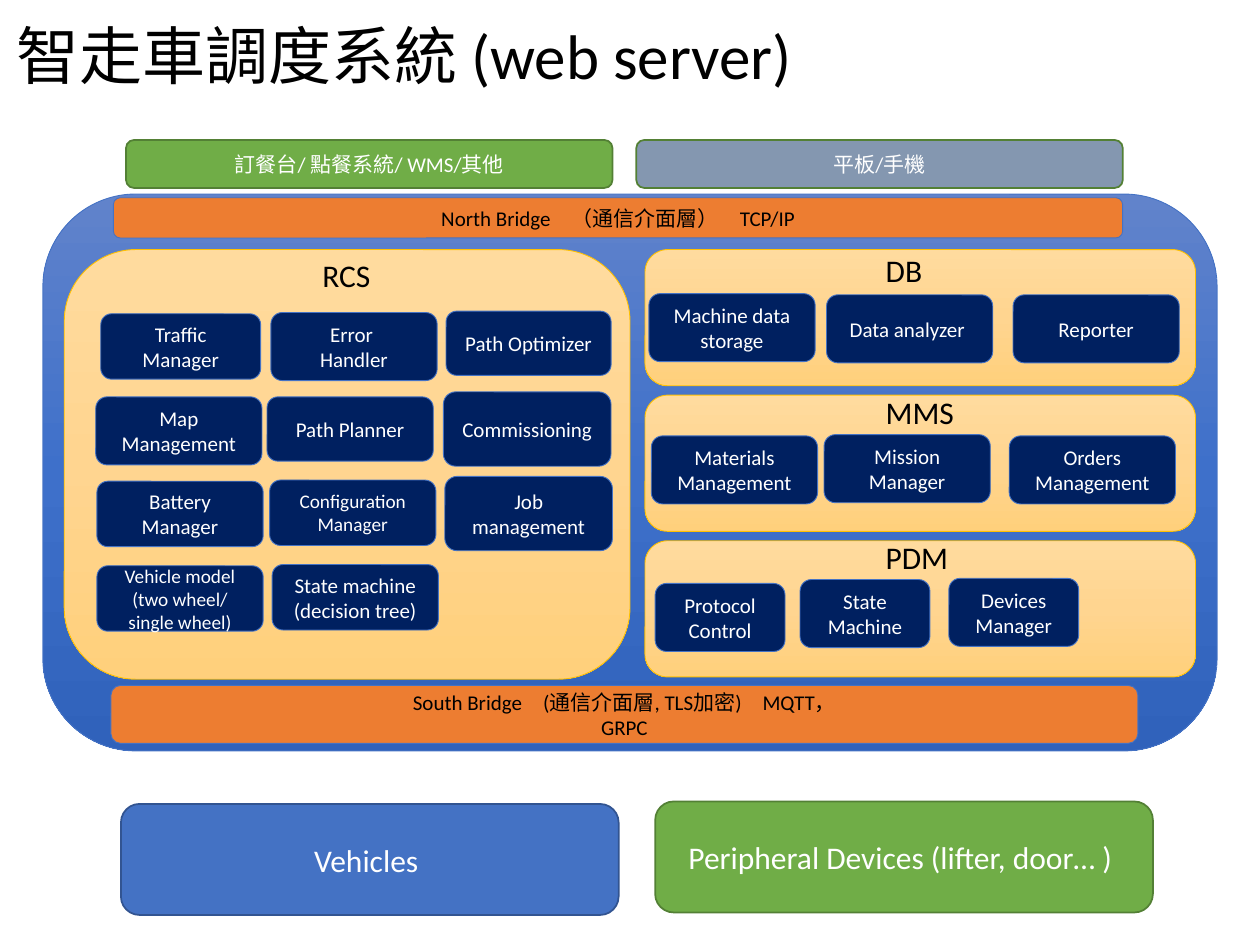
from copy import deepcopy
from dataclasses import dataclass

from pptx import Presentation
from pptx.dml.color import RGBColor
from pptx.enum.shapes import MSO_SHAPE as Shape
from pptx.enum.text import MSO_ANCHOR as Anchor, PP_ALIGN as Align
from pptx.oxml.ns import qn
from pptx.util import Pt


@dataclass(frozen=True)
class Theme:
    font: str = "Calibri"
    black: str = "000000"
    white: str = "FFFFFF"
    blue: str = "4472C4"
    blue_edge: str = "325491"
    green: str = "70AD47"
    green_edge: str = "538035"
    slate: str = "8497B0"
    orange: str = "ED7D31"
    navy: str = "002060"
    gold: str = "FFC000"
    platform: tuple = ("6183CB", "3E70CA", "3062BB")
    sand: tuple = ("FFDB9E", "FFD590", "FFD07C")
    title: int = 36
    heading: int = 18
    body: int = 12
    small: int = 11


def write_text(frame, text, *, size, color, font, align=Align.CENTER,
               anchor=Anchor.MIDDLE, wrap=True, spacing=None):
    frame.word_wrap = wrap
    frame.vertical_anchor = anchor
    for index, line in enumerate(text.split("\n")):
        paragraph = frame.paragraphs[0] if index == 0 else frame.add_paragraph()
        paragraph.alignment = align
        if spacing:
            paragraph.line_spacing = spacing
        run = paragraph.add_run()
        run.text = line
        run.font.name = font
        run.font.size = Pt(size)
        run.font.color.rgb = RGBColor.from_string(color)


class Diagram:
    def __init__(self, slide, theme):
        self.slide = slide
        self.theme = theme

    def _rounded(self, box, edge, edge_width):
        shape = self.slide.shapes.add_shape(Shape.ROUNDED_RECTANGLE, *map(Pt, box))
        shape.shadow.inherit = False
        shape.line.color.rgb = RGBColor.from_string(edge)
        shape.line.width = Pt(edge_width)
        return shape

    def _text_box(self, box, text, **style):
        frame = self.slide.shapes.add_textbox(*map(Pt, box)).text_frame
        write_text(frame, text, font=self.theme.font, color=self.theme.black, **style)
        return frame

    def title(self, box, text):
        frame = self._text_box(box, text, size=self.theme.title,
                               anchor=Anchor.BOTTOM, spacing=0.9)
        frame.margin_left = frame.margin_right = Pt(5)
        frame.margin_top = frame.margin_bottom = Pt(2.7)

    def heading(self, box, text):
        self._text_box(box, text, size=self.theme.heading,
                       align=Align.LEFT, anchor=Anchor.TOP, wrap=False)

    def panel(self, box, colors, edge):
        shape = self._rounded(box, edge, 0.5)
        shape.fill.gradient()
        shape.fill.gradient_angle = 270
        stop_list = shape._element.spPr.find(qn("a:gradFill")).find(qn("a:gsLst"))
        stop_list.insert(1, deepcopy(stop_list[0]))
        for stop, color, position in zip(shape.fill.gradient_stops, colors, (0, 0.5, 1)):
            stop.color.rgb = RGBColor.from_string(color)
            stop.position = position

    def block(self, box, text, fill, edge, edge_width=1, size=None, color=None):
        shape = self._rounded(box, edge, edge_width)
        shape.fill.solid()
        shape.fill.fore_color.rgb = RGBColor.from_string(fill)
        write_text(shape.text_frame, text, font=self.theme.font,
                   size=size or self.theme.body, color=color or self.theme.white)

    def bridge(self, box, text):
        self.block(box, text, self.theme.orange, self.theme.blue, 0.5,
                   color=self.theme.black)

    def module(self, box, text, size=None):
        self.block(box, text, self.theme.navy, self.theme.blue, 0.5, size)


THEME = Theme()
RCS_MODULES = [
    ("Traffic Manager", (57.6, 179.3, 91.4, 37.4)),
    ("Error \nHandler", (154.8, 178.6, 95, 38.9)),
    ("Path Optimizer", (254.9, 177.8, 94.3, 36.7)),
    ("Map Management", (54.7, 226.8, 95, 38.9)),
    ("Path Planner", (152.6, 226.8, 95, 36.7)),
    ("Commissioning", (253.4, 223.9, 95.8, 42.5)),
    ("Battery Manager", (55.4, 275, 95, 37.4)),
    ("Configuration Manager", (154.1, 274.3, 95, 37.4), THEME.small),
    ("Job management", (254.2, 272.2, 95.8, 42.5)),
    ("Vehicle model\n(two wheel/ single wheel)", (55.4, 323.3, 95, 37.4), THEME.small),
    ("State machine\n(decision tree)", (155.5, 322.6, 95, 37.4)),
]
SERVICES = [
    ("DB", 139.7, 35.3, 95, [
        ("Machine data storage", 370.8, 167.8),
        ("Data analyzer ", 472.3, 168.5),
        ("Reporter", 578.9, 168.5)]),
    ("MMS", 221, 54, 95, [
        ("Materials Management", 372.2, 249.1),
        ("Mission Manager", 470.9, 248.4),
        ("Orders Management", 576.7, 249.1)]),
    ("PDM", 303.8, 50.4, 74.2, [
        ("Protocol Control", 374.4, 333.4),
        ("State Machine", 457.2, 331.2),
        ("Devices Manager", 542.2, 330.5)]),
]


def main():
    presentation = Presentation()
    presentation.slide_width, presentation.slide_height = Pt(720), Pt(540)
    slide = presentation.slides.add_slide(presentation.slide_layouts[6])
    diagram = Diagram(slide, THEME)

    diagram.title((-16, -6, 502, 62), "智走車調度系統 (web server) ")
    diagram.block((72, 80, 278, 27.4), "訂餐台/ 點餐系統/ WMS/其他",
                  THEME.green, THEME.green_edge)
    diagram.block((363.6, 80, 278, 27.4), "平板/手機", THEME.slate, THEME.green_edge)

    diagram.panel((24.5, 110.9, 671, 318.2), THEME.platform, THEME.blue)
    diagram.bridge((64.8, 113, 576.7, 23), "North Bridge　（通信介面層）　TCP/IP")
    diagram.bridge((63.4, 391.7, 586.8, 33.1),
                   "South Bridge　(通信介面層, TLS加密)　MQTT，\nGRPC")

    diagram.panel((36.7, 142.6, 323.3, 245.5), THEME.sand, THEME.gold)
    diagram.heading((177.1, 142.6, 42.5, 28.8), "RCS")
    for text, box, *size in RCS_MODULES:
        diagram.module(box, text, *size)

    for row, (name, label_top, label_width, module_width, modules) in enumerate(SERVICES):
        diagram.panel((368.6, 142.6 + 83.2 * row, 314.6, 77.8), THEME.sand, THEME.gold)
        diagram.heading((499, label_top, label_width, 28.8), name)
        for text, left, top in modules:
            diagram.module((left, top, module_width, 38.9), text)

    diagram.block((69.1, 459.4, 284.4, 63.4), "Vehicles ",
                  THEME.blue, THEME.blue_edge, size=THEME.heading)
    diagram.block((374.4, 458, 284.4, 63.4), "Peripheral Devices (lifter, door… ) ",
                  THEME.green, THEME.green_edge, size=THEME.heading)
    presentation.save("out.pptx")


if __name__ == "__main__":
    main()
